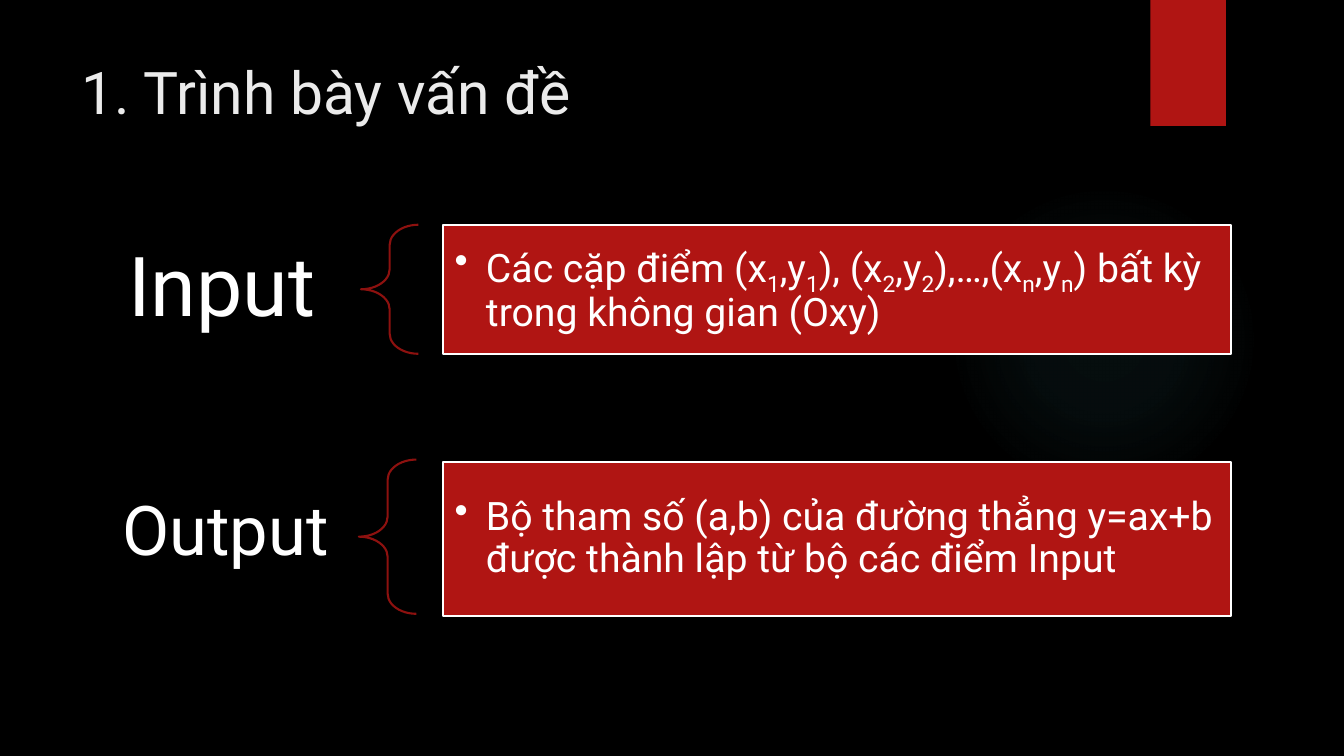
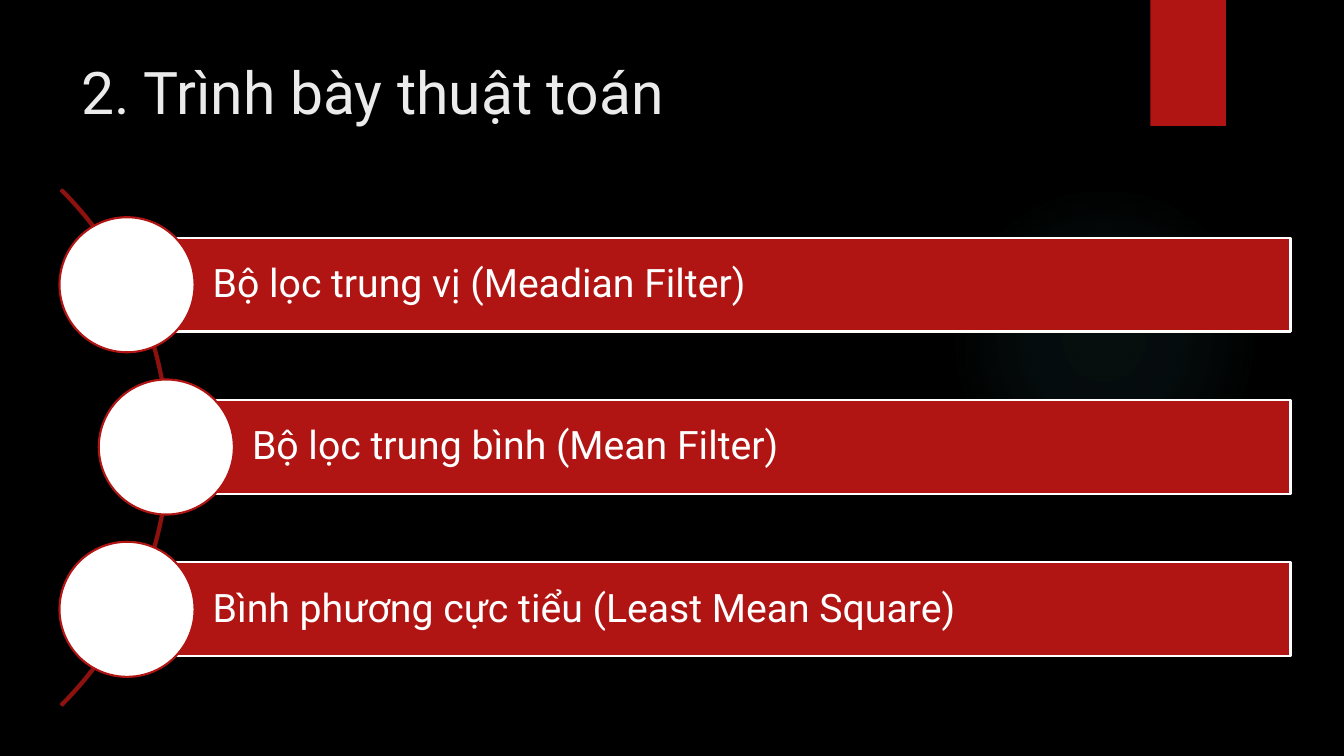
import dataclasses
from typing import Any, Optional, Tuple

import lxml.etree
import pptx
import pptx.dml.color
import pptx.enum.shapes
import pptx.enum.text
import pptx.oxml.ns
import pptx.util

Inches = pptx.util.Inches
Kind = pptx.enum.shapes.MSO_SHAPE
Align = pptx.enum.text.PP_ALIGN
Anchor = pptx.enum.text.MSO_ANCHOR
Box = Tuple[float, float, float, float]

FONT = "Roboto"
BLACK, WHITE, TITLE = "000000", "FFFFFF", "EBEBEB"
RED, DARK, TEAL = "B01513", "8D110F", "50B9C1"
GLOW = ((0, 7), (36, 6), (69, 0))  # position and opacity in percent


@dataclasses.dataclass
class Style:
    size: float
    inset: Box = (0.1, 0.05, 0.1, 0.05)
    color: str = WHITE
    align: Any = Align.LEFT
    anchor: Any = Anchor.MIDDLE
    spacing: float = 0.9
    bullet: bool = False


@dataclasses.dataclass
class Pair:
    label: str
    text: str
    name: Box
    brace: Box
    panel: Box
    style: Style


@dataclasses.dataclass
class Step:
    text: str
    shift: float


HEAD = Style(42, color=TITLE, anchor=Anchor.TOP, spacing=1.0)
BODY = Style(28, inset=(0.12,) * 4, bullet=True)
BAR = Style(28, inset=(0.85, 0.08, 0.08, 0.08))

PAIRS = (
    Pair("Input",
         "Các cặp điểm (x_1,y_1), (x_2,y_2),…,(x_n,y_n) bất kỳ trong không gian (Oxy)",
         (0.71, 2.23, 2.88, 1.28), (3.58, 2.23, 0.57, 1.28), (4.39, 2.23, 7.82, 1.28),
         Style(59, inset=(0.46, 0.16, 0.46, 0.16), align=Align.RIGHT)),
    Pair("Output",
         "Bộ tham số (a,b) của đường thẳng y=ax+b được thành lập từ bộ các điểm Input",
         (0.76, 4.76, 2.88, 1.06), (3.56, 4.56, 0.57, 1.53), (4.39, 4.58, 7.82, 1.53),
         Style(49, inset=(0.38, 0.14, 0.38, 0.14), align=Align.RIGHT)),
)

STEPS = (
    Step("Bộ lọc trung vị (Meadian Filter)", 0),
    Step("Bộ lọc trung bình (Mean Filter)", 0.39),
    Step("Bình phương cực tiểu (Least Mean Square)", 0),
)
LEFT, RIGHT, TOP, PITCH = 1.26, 12.8, 2.36, 1.61
HEIGHT, DISC = 0.93, 1.34


def rgb(code: str) -> pptx.dml.color.RGBColor:
    return pptx.dml.color.RGBColor.from_string(code)


def place(box: Box) -> Tuple[int, ...]:
    return tuple(Inches(side) for side in box)


def write(shape: Any, text: str, style: Style) -> None:
    """Fill a shape with one paragraph; "_" lowers the character after it."""
    frame = shape.text_frame
    frame.word_wrap = True
    frame.vertical_anchor = style.anchor
    (frame.margin_left, frame.margin_top,
     frame.margin_right, frame.margin_bottom) = place(style.inset)
    para = frame.paragraphs[0]
    para.alignment = style.align
    para.line_spacing = style.spacing
    if style.bullet:
        props = para._p.get_or_add_pPr()
        props.set("marL", str(Inches(0.31)))
        props.set("indent", str(-Inches(0.31)))
        mark = lxml.etree.SubElement(props, pptx.oxml.ns.qn("a:buChar"))
        mark.set("char", "•")
    para.font.name = FONT
    para.font.size = pptx.util.Pt(style.size)
    para.font.color.rgb = rgb(style.color)
    first, *rest = text.split("_")
    para.add_run().text = first
    for part in rest:
        low = para.add_run()
        low.text = part[0]
        low.font._element.set("baseline", "-25000")
        para.add_run().text = part[1:]


def label(slide: Any, box: Box, text: str, style: Style) -> None:
    write(slide.shapes.add_textbox(*place(box)), text, style)


def draw(slide: Any, kind: Any, box: Box, fill: Optional[str] = None,
         line: Optional[str] = None, adjust: Tuple[float, ...] = ()) -> Any:
    shape = slide.shapes.add_shape(kind, *place(box))
    shape.shadow.inherit = False
    for index, value in enumerate(adjust):
        shape.adjustments[index] = value
    if fill:
        shape.fill.solid()
        shape.fill.fore_color.rgb = rgb(fill)
    else:
        shape.fill.background()
    if line:
        shape.line.color.rgb = rgb(line)
        shape.line.width = pptx.util.Pt(1.5)
    else:
        shape.line.fill.background()
    return shape


def glow(shape: Any) -> None:
    """Give the shape a faint radial gradient."""
    stops = "".join(
        f'<a:gs pos="{pos * 1000}"><a:srgbClr val="{TEAL}">'
        f'<a:alpha val="{alpha * 1000}"/></a:srgbClr></a:gs>'
        for pos, alpha in GLOW)
    grad = lxml.etree.fromstring(
        f'<a:gradFill {pptx.oxml.ns.nsdecls("a")}><a:gsLst>{stops}</a:gsLst>'
        '<a:path path="circle"><a:fillToRect l="50000" t="50000" r="50000" b="50000"/>'
        '</a:path></a:gradFill>')
    props = shape._element.spPr
    props.replace(props.find(pptx.oxml.ns.qn("a:noFill")), grad)


def start(deck: Any, title: str) -> Any:
    """Add a slide with the shared backdrop, ribbon and title."""
    slide = deck.slides.add_slide(deck.slide_layouts[6])
    slide.background.fill.solid()
    slide.background.fill.fore_color.rgb = rgb(BLACK)
    glow(draw(slide, Kind.OVAL, (9.41, 1.83, 3.08, 3.08)))
    draw(slide, Kind.RECTANGLE, (11.41, 0, 0.75, 1.25), RED)
    label(slide, (0.71, 0.5, 10.29, 1.53), title, HEAD)
    return slide


def problem(deck: Any) -> None:
    slide = start(deck, "1. Trình bày vấn đề")
    for pair in PAIRS:
        label(slide, pair.name, pair.label, pair.style)
        draw(slide, Kind.LEFT_BRACE, pair.brace, line=DARK, adjust=(0.35, 0.5))
        panel = draw(slide, Kind.RECTANGLE, pair.panel, RED, WHITE)
        write(panel, pair.text, BODY)


def method(deck: Any) -> None:
    slide = start(deck, "2. Trình bày thuật toán")
    draw(slide, Kind.BLOCK_ARC, (-5.56, 0.82, 7.24, 7.24), line=DARK,
         adjust=(189, 27, 0.003))
    for row, step in enumerate(STEPS):
        left, top = LEFT + step.shift, TOP + row * PITCH
        bar = draw(slide, Kind.RECTANGLE, (left, top, RIGHT - left, HEIGHT), RED, WHITE)
        write(bar, step.text, BAR)
        disc = (left - DISC / 2, top + (HEIGHT - DISC) / 2, DISC, DISC)
        draw(slide, Kind.OVAL, disc, WHITE, RED)


def main() -> None:
    deck = pptx.Presentation()
    deck.slide_width, deck.slide_height = Inches(13.33), Inches(7.5)
    problem(deck)
    method(deck)
    deck.save("out.pptx")


if __name__ == "__main__":
    main()
